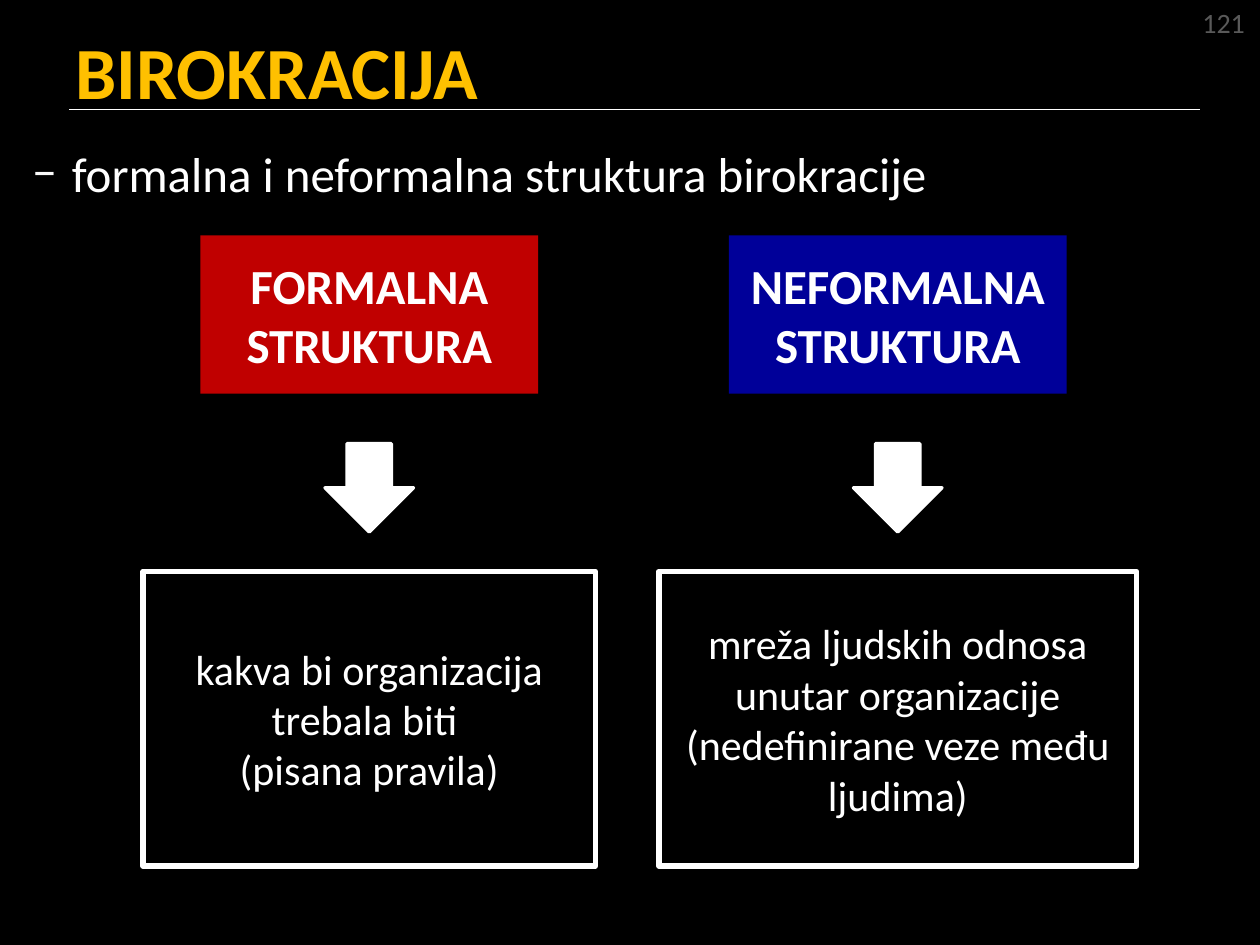
import pptx
import pptx.util
import pptx.oxml.ns
from lxml import etree
from pptx.dml.color import RGBColor
from pptx.enum.shapes import MSO_CONNECTOR, MSO_SHAPE
from pptx.enum.text import MSO_ANCHOR, PP_ALIGN

Pt = pptx.util.Pt
qn = pptx.oxml.ns.qn

COLORS = {"back": "000000", "white": "FFFFFF", "gold": "FFC000", "red": "C00000",
          "blue": "000099", "gray": "595959", "dash": "F9F9F9"}
FONT = "Calibri"
TITLE = "BIROKRACIJA"
LEAD = "formalna i neformalna struktura birokracije"
NUMBER = "121"
# Centre of column, heading, heading fill, description, description width
COLUMNS = [
    (211, "FORMALNA STRUKTURA", "red",
     "kakva bi organizacija trebala biti \v(pisana pravila)", 258.5),
    (513, "NEFORMALNA STRUKTURA", "blue",
     "mreža ljudskih odnosa unutar organizacije (nedefinirane veze među ljudima)", 273),
]


def color(name):
    return RGBColor.from_string(COLORS[name])


def write(shape, text, size, tint="white", bold=False, align=PP_ALIGN.LEFT,
          anchor=MSO_ANCHOR.MIDDLE, wrap=True):
    frame = shape.text_frame
    frame.text = text
    frame.word_wrap = wrap
    frame.vertical_anchor = anchor
    for para in frame.paragraphs:
        para.alignment = align
        for run in para.runs:
            run.font.name = FONT
            run.font.size = Pt(size)
            run.font.bold = bold
            run.font.color.rgb = color(tint)


def add_block(slide, kind, center, top, width, height, fill=None, line=0):
    shape = slide.shapes.add_shape(
        kind, Pt(center - width / 2), Pt(top), Pt(width), Pt(height))
    shape.shadow.inherit = False
    if fill:
        shape.fill.solid()
        shape.fill.fore_color.rgb = color(fill)
    else:
        shape.fill.background()
    if line:
        shape.line.color.rgb = color("white")
        shape.line.width = Pt(line)
    else:
        shape.line.fill.background()
    return shape


def add_dash(para, indent):
    """Give the paragraph a hanging dash bullet."""
    props = para._p.get_or_add_pPr()
    props.set("marL", str(Pt(indent)))
    props.set("indent", str(-Pt(indent)))
    tint = etree.SubElement(props, qn("a:buClr"))
    etree.SubElement(tint, qn("a:srgbClr"), val=COLORS["dash"])
    etree.SubElement(props, qn("a:buFont"), typeface=FONT)
    etree.SubElement(props, qn("a:buChar"), char="−")


def main():
    deck = pptx.Presentation()
    deck.slide_width, deck.slide_height = Pt(720), Pt(540)
    slide = deck.slides.add_slide(deck.slide_layouts[5])
    slide.background.fill.solid()
    slide.background.fill.fore_color.rgb = color("back")

    rule = slide.shapes.add_connector(
        MSO_CONNECTOR.STRAIGHT, Pt(39.6), Pt(62.6), Pt(686), Pt(62.6))
    rule.line.color.rgb = color("white")
    rule.line.width = Pt(1)
    etree.SubElement(rule._element.spPr, qn("a:effectLst"))

    title = slide.shapes.title
    title.left, title.top, title.width, title.height = Pt(36), Pt(6), Pt(656), Pt(68)
    write(title, TITLE, 42, "gold", bold=True)

    lead = slide.shapes.add_textbox(Pt(11.5), Pt(78.5), Pt(708.5), Pt(450))
    write(lead, LEAD, 28, anchor=MSO_ANCHOR.TOP)
    add_dash(lead.text_frame.paragraphs[0], 22.5)

    for center, head, fill, text, width in COLUMNS:
        box = add_block(slide, MSO_SHAPE.RECTANGLE, center, 134.5, 193, 90.5, fill)
        write(box, head, 28, bold=True, align=PP_ALIGN.CENTER)
        add_block(slide, MSO_SHAPE.DOWN_ARROW, center, 253.5, 50.5, 50.5, "white", 2)
        box = add_block(slide, MSO_SHAPE.RECTANGLE, center, 326.5, width, 168.5, line=3)
        write(box, text, 24, align=PP_ALIGN.CENTER)

    number = slide.shapes.add_textbox(Pt(680), Pt(-0.5), Pt(38.5), Pt(26.5))
    write(number, NUMBER, 16, "gray", align=PP_ALIGN.RIGHT, anchor=MSO_ANCHOR.TOP,
          wrap=False)

    deck.save("out.pptx")


if __name__ == "__main__":
    main()
